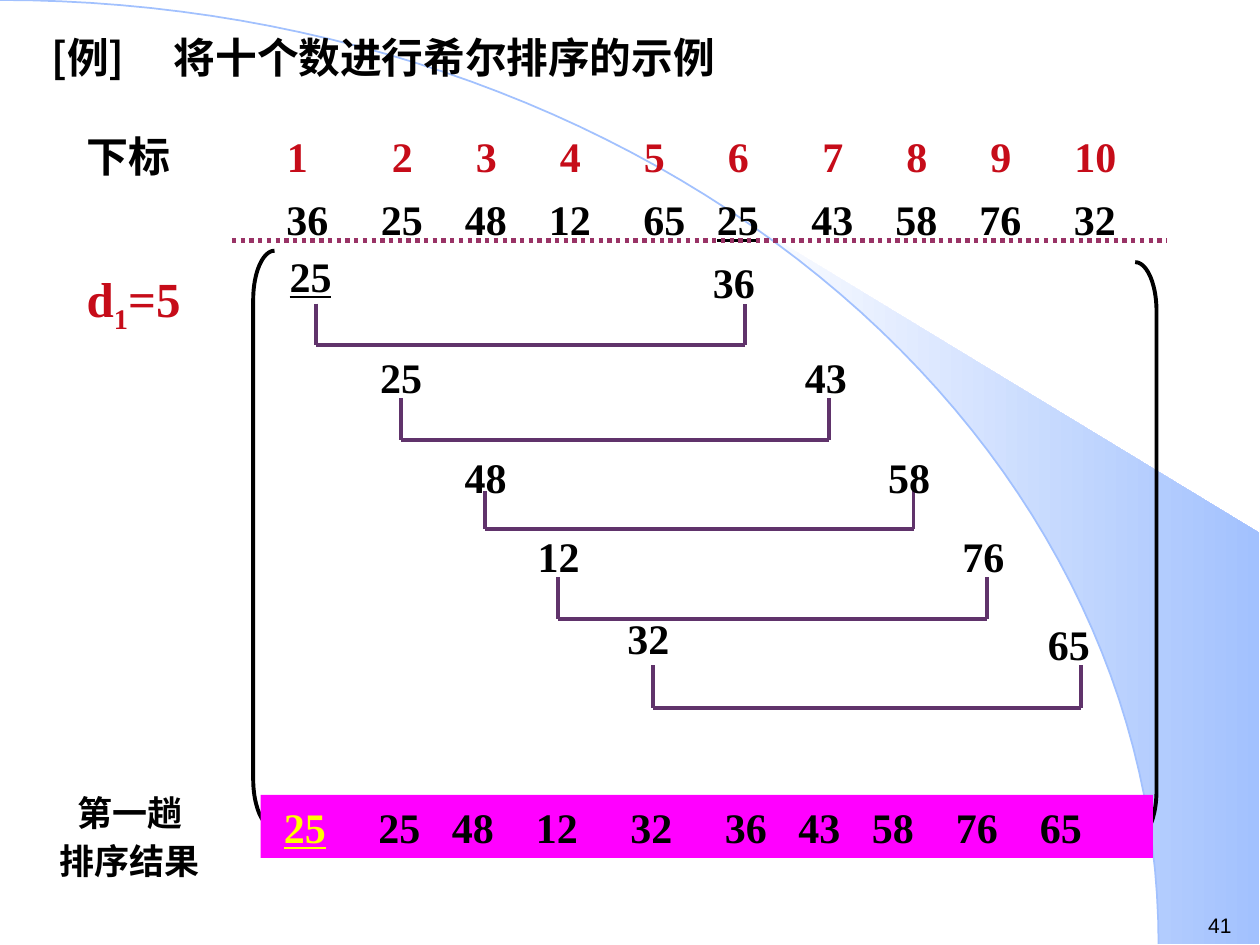
from itertools import accumulate
from math import cos, pi, sin

from lxml.etree import SubElement
from pptx import Presentation
from pptx.dml.color import RGBColor
from pptx.enum.dml import MSO_LINE
from pptx.enum.shapes import MSO_CONNECTOR, MSO_SHAPE
from pptx.enum.text import MSO_ANCHOR, PP_ALIGN
from pptx.oxml.ns import qn
from pptx.util import Pt

BLACK = RGBColor(0x00, 0x00, 0x00)
WHITE = RGBColor(0xFF, 0xFF, 0xFF)
RED = RGBColor(0xC6, 0x0C, 0x19)
YELLOW = RGBColor(0xFF, 0xFF, 0x00)
MAGENTA = RGBColor(0xFF, 0x00, 0xFF)
PLUM = RGBColor(0x99, 0x33, 0x66)
PURPLE = RGBColor(0x60, 0x33, 0x6B)
SKY = RGBColor(0xA2, 0xC1, 0xFE)

SERIF = "Times New Roman"
CJK = "Noto Sans CJK SC"
INSET = 7.2
UNIT = 6  # half a digit at 24 pt

# left x, top y, bottom y of the link; then value, x, y of its two numbers
STEPS = [
    (180.7, 173.5, 197.3, ("25", 158.4, 139.7), ("36", 400.3, 143.3)),
    (229, 227.5, 251.3, ("25", 210.2, 197.3), ("43", 452.9, 197.3)),
    (277.2, 280.8, 302.4, ("48", 258.5, 254.2), ("58", 500.4, 254.2)),
    (319, 329.8, 353.5, ("12", 300.2, 299.5), ("76", 542.9, 299.5)),
    (373, 380.2, 404.6, ("32", 351.4, 346.3), ("65", 591.8, 349.9)),
]
LINK_SPAN = 244.8


def format_run(r, size=24, color=BLACK, name=SERIF, bold=True):
    r.font.size = Pt(size)
    r.font.bold = bold
    r.font.name = name
    r.font.color.rgb = color
    SubElement(r._r.get_or_add_rPr(), qn("a:ea")).set("typeface", name)


def add_tabs(p, stops):
    tabs = SubElement(p._p.get_or_add_pPr(), qn("a:tabLst"))
    for stop in stops:
        SubElement(tabs, qn("a:tab"), pos=str(Pt(stop)), algn="l")


def add_text(s, text, x, y, w, h, **style):
    tf = s.shapes.add_textbox(Pt(x), Pt(y), Pt(w), Pt(h)).text_frame
    tf.word_wrap = True
    tf.text = text
    for p in tf.paragraphs:
        for r in p.runs:
            format_run(r, **style)
    return tf


def add_line(s, x1, y1, x2, y2, color, width):
    line = s.shapes.add_connector(MSO_CONNECTOR.STRAIGHT, Pt(x1), Pt(y1), Pt(x2), Pt(y2))
    line.line.color.rgb = color
    line.line.width = Pt(width)
    SubElement(line._element.spPr, qn("a:effectLst"))
    return line


def add_outline(s, points, close):
    (x, y), *rest = [(Pt(px), Pt(py)) for px, py in points]
    builder = s.shapes.build_freeform(x, y)
    builder.add_line_segments(rest, close=close)
    sp = builder.convert_to_shape()
    sp.shadow.inherit = False
    return sp


def add_backdrop(s, w, h):
    """Quarter ellipse from the top left corner, with a shaded beam to its right."""
    def arc(start, steps=60):
        angles = [start + (pi / 2 - start) * i / steps for i in range(steps + 1)]
        return [(0.92 * w * sin(a), h * (1 - cos(a))) for a in angles]

    beam = add_outline(s, [(w, h), (w, 304.6)] + arc(0.695), close=True)
    beam.line.fill.background()
    beam.fill.gradient()
    beam.fill.gradient_angle = 0
    for stop, color, position in zip(beam.fill.gradient_stops, (WHITE, SKY), (0, 1)):
        stop.color.rgb = color
        stop.position = position

    curve = add_outline(s, arc(0), close=False)
    curve.fill.background()
    curve.line.color.rgb = SKY
    curve.line.width = Pt(1)


def add_bracket(s, kind, x, y, w, h):
    sp = s.shapes.add_shape(kind, Pt(x), Pt(y), Pt(w), Pt(h))
    sp.adjustments[0] = 2.3
    sp.shadow.inherit = False
    sp.fill.background()
    sp.line.color.rgb = BLACK
    sp.line.width = Pt(2.25)


def fill_number_row(tf, numbers, gaps, indent, color=BLACK, marked=None, marked_color=BLACK):
    """Set numbers on tab stops; gaps count half digits between neighbours."""
    tf.word_wrap = True
    tf.margin_left = Pt(INSET + indent * UNIT)
    p = tf.paragraphs[0]
    widths = [UNIT * (2 * len(n) + gap) for n, gap in zip(numbers, gaps)]
    add_tabs(p, accumulate(widths))
    for i, number in enumerate(numbers):
        if i:
            r = p.add_run()
            r.text = "\t"
            format_run(r, color=color)
        r = p.add_run()
        r.text = number
        format_run(r, color=marked_color if i == marked else color)
        if i == marked:
            r.font.underline = True


def add_header(s, x, y, w):
    indexes = [str(i) for i in range(1, 11)]
    values = "36 25 48 12 65 25 43 58 76 32".split()
    box = s.shapes.add_textbox(Pt(x), Pt(y), Pt(w), Pt(36))
    fill_number_row(box.text_frame, indexes, [8, 6, 6, 6, 6, 7, 6, 6, 6], 2, RED)
    box = s.shapes.add_textbox(Pt(x + 5.8), Pt(y + 36), Pt(w), Pt(36))
    fill_number_row(box.text_frame, values, [5, 4, 4, 5, 3, 5, 4, 4, 5], 1, marked=5)
    add_text(s, "下标", x - 102.2, y, 84, 36, name=CJK)
    rule = add_line(s, x - 12.2, y + 66.2, x + 522, y + 66.2, PLUM, 2.5)
    rule.line.dash_style = MSO_LINE.ROUND_DOT


def add_step(s, left, top, bottom, *numbers):
    right = left + LINK_SPAN
    corners = [(left, top), (left, bottom), (right, bottom), (right, top)]
    for start, end in zip(corners, corners[1:]):
        add_line(s, *start, *end, PURPLE, 2.25)
    return [add_text(s, value, x, y, 50, 36) for value, x, y in numbers]


def add_gap_label(s, x, y):
    tf = add_text(s, "d", x, y, 78, 45, size=28, color=RED)
    for text, baseline in (("1", "-25000"), ("=5", "0")):
        r = tf.paragraphs[0].add_run()
        r.text = text
        format_run(r, size=28, color=RED)
        r._r.get_or_add_rPr().set("baseline", baseline)


def add_result(s, x, y, w, h):
    bar = s.shapes.add_shape(MSO_SHAPE.RECTANGLE, Pt(x), Pt(y), Pt(w), Pt(h))
    bar.shadow.inherit = False
    bar.fill.solid()
    bar.fill.fore_color.rgb = MAGENTA
    bar.line.fill.background()
    tf = bar.text_frame
    tf.vertical_anchor = MSO_ANCHOR.TOP
    tf.paragraphs[0].alignment = PP_ALIGN.LEFT
    fill_number_row(tf, "25 25 48 12 32 36 43 58 76 65".split(),
                    [5, 3, 4, 5, 5, 3, 3, 4, 4], 1, marked=0, marked_color=YELLOW)

    label = add_text(s, "第一趟\n排序结果", x - 131.7, y - 5.7, 113.8, 59, size=20, name=CJK)
    for p in label.paragraphs:
        p.alignment = PP_ALIGN.CENTER
    label.paragraphs[1].space_before = Pt(3.7)


def add_title(s, x, y, w, h):
    tf = add_text(s, "[例]\t将十个数进行希尔排序的示例", x, y, w, h, size=23.8, name=CJK)
    p = tf.paragraphs[0]
    p.line_spacing = 0.9
    add_tabs(p, [70])


def main():
    prs = Presentation()
    prs.slide_width, prs.slide_height = Pt(720), Pt(540)
    s = prs.slides.add_slide(prs.slide_layouts[6])

    add_backdrop(s, 719.6, 539.3)
    add_text(s, "41", 683.3, 517.7, 36.7, 21.6, size=12, name="Arial", bold=False)
    add_title(s, 22.3, 18, 493.2, 36)
    add_header(s, 144.7, 71.3, 527.8)
    add_bracket(s, MSO_SHAPE.LEFT_BRACKET, 144.7, 143.3, 12.2, 330)
    add_bracket(s, MSO_SHAPE.RIGHT_BRACKET, 648.7, 149.8, 12.2, 330)
    add_gap_label(s, 42.5, 149.8)

    labels = [add_step(s, *step) for step in STEPS]
    labels[0][0].paragraphs[0].runs[0].font.underline = True
    add_result(s, 149, 454.3, 509.8, 36)

    prs.save("out.pptx")


if __name__ == "__main__":
    main()
